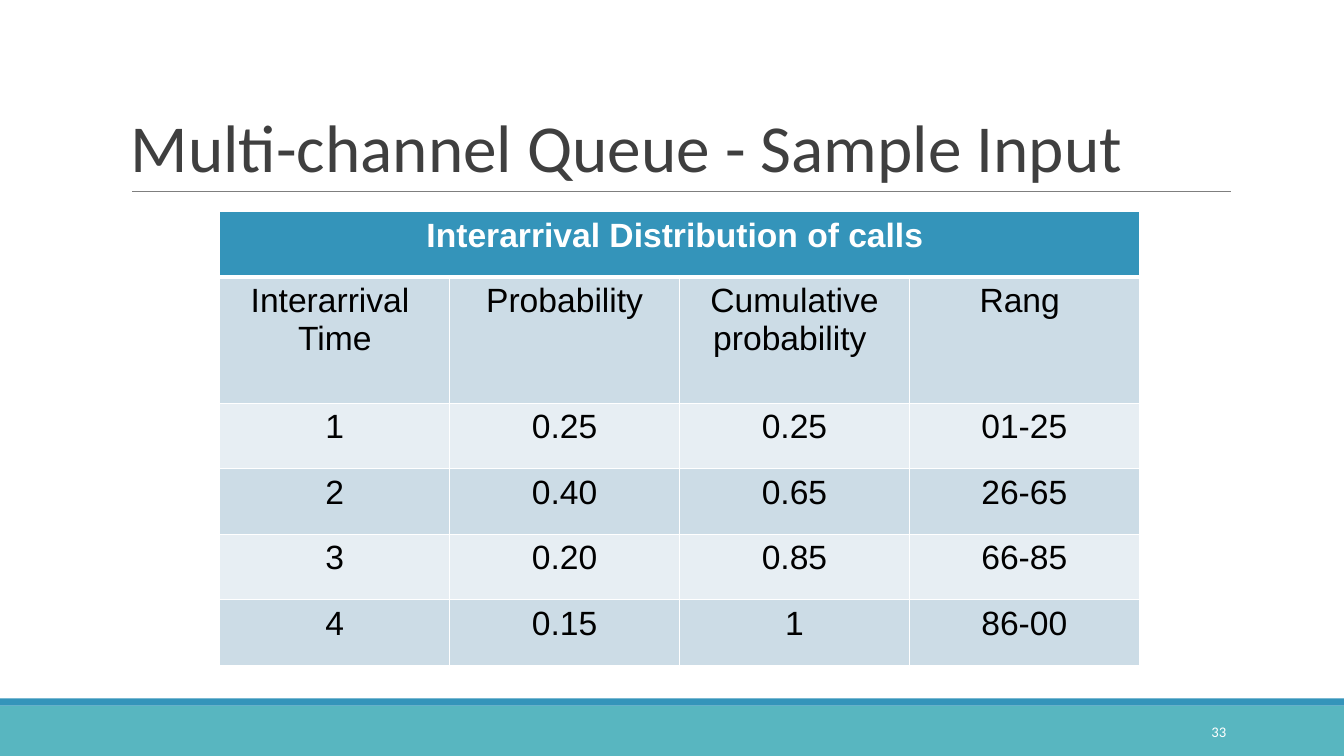
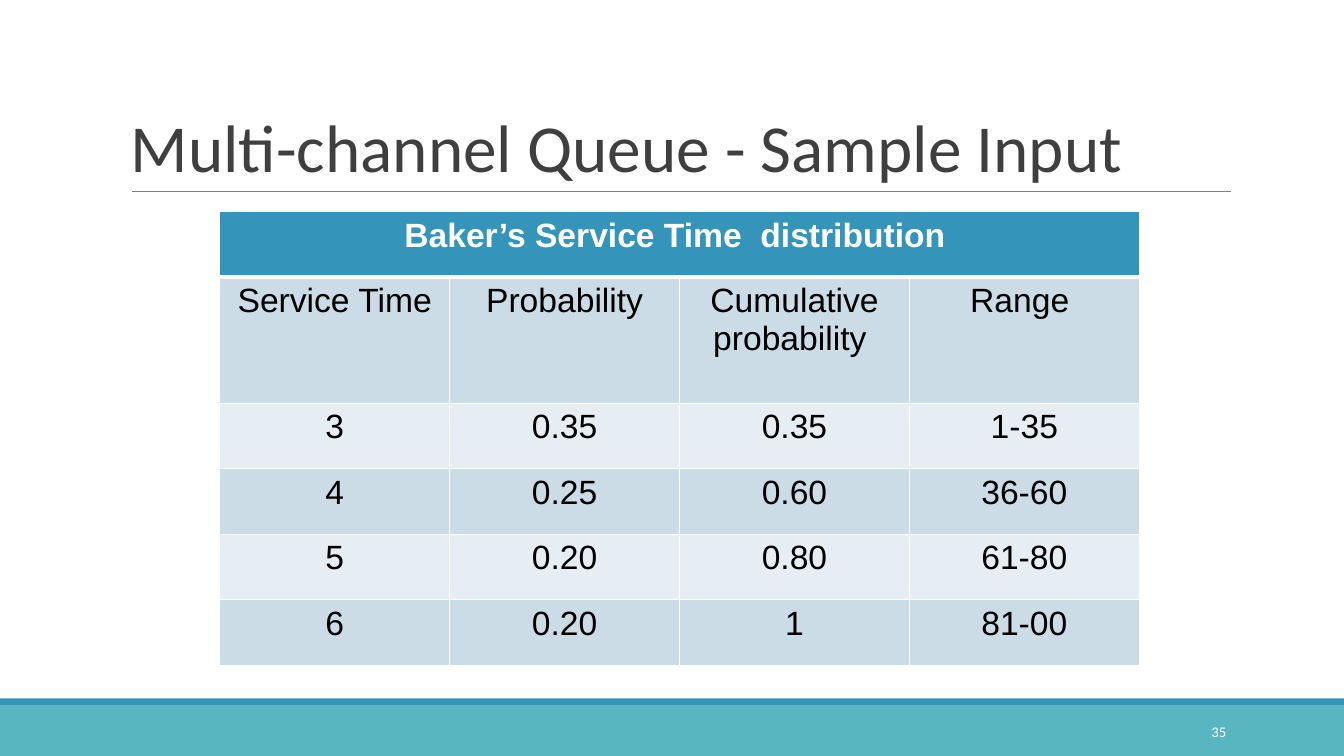
import pptx
import pptx.util
import pptx.dml.color
import pptx.enum.shapes
import pptx.enum.text
import pptx.oxml
import pptx.oxml.ns
from dataclasses import dataclass

TITLE = "Multi-channel Queue - Sample Input"
SLIDES = [
    {
        "number": "33",
        "heading": "Interarrival Distribution of calls ",
        "rows": [
            ("Interarrival  Time", "Probability", "Cumulative probability ", "Rang "),
            ("1", "0.25", "0.25", "01-25"),
            ("2", "0.40", "0.65", "26-65"),
            ("3", "0.20", "0.85", "66-85"),
            ("4", "0.15", "1", "86-00"),
        ],
    },
    {
        "number": "35",
        "heading": "Baker’s Service Time  distribution ",
        "rows": [
            ("Service Time", "Probability", "Cumulative probability ", "Range "),
            ("3", "0.35", "0.35", "1-35"),
            ("4", "0.25", "0.60", "36-60"),
            ("5", "0.20", "0.80", "61-80"),
            ("6", "0.20", "1", "81-00"),
        ],
    },
]


@dataclass(frozen=True)
class Theme:
    accent: str = "3494BA"
    footer: str = "58B6C0"
    rule: str = "7F7F7F"
    title: str = "3F3F3F"
    light: str = "FFFFFF"
    dark: str = "000000"
    stripes: tuple = ("CCDCE6", "E7EEF3")
    title_font: str = "Calibri"
    table_font: str = "Arial"
    title_size: float = 48
    table_size: float = 24
    number_size: float = 10.5
    rule_width: float = 0.75
    grid_width: float = 1
    heading_width: float = 3


THEME = Theme()
WIDTH, HEIGHT = 13.33, 7.5
FOOTER_TOP, STRIP_HEIGHT = 7, 0.07
RULE_LEFT, RULE_RIGHT, RULE_TOP = 1.31, 12.21, 1.9
TITLE_BOX = (1.2, 0.31, 11, 1.59)
NUMBER_BOX = (10.83, 7.06, 1.43, 0.4)
TABLE_LEFT, TABLE_TOP = 2.18, 2.1
COLUMN_WIDTH, ROW_HEIGHT, LABEL_HEIGHT = 2.28, 0.65, 1.25

Inches = pptx.util.Inches
Align = pptx.enum.text.PP_ALIGN
Anchor = pptx.enum.text.MSO_ANCHOR


def rgb(colour):
    return pptx.dml.color.RGBColor.from_string(colour)


def place(*lengths):
    return [Inches(length) for length in lengths]


def write(frame, text, font, size, colour, align, bold=False):
    frame.text = text
    frame.word_wrap = True
    para = frame.paragraphs[0]
    para.alignment = align
    for span in para.runs:
        span.font.name = font
        span.font.size = pptx.util.Pt(size)
        span.font.bold = bold
        span.font.color.rgb = rgb(colour)
    return para


def add_text(page, bounds, anchor, *style):
    frame = page.shapes.add_textbox(*place(*bounds)).text_frame
    frame.vertical_anchor = anchor
    return write(frame, *style)


def add_band(page, top, height, colour):
    band = page.shapes.add_shape(
        pptx.enum.shapes.MSO_SHAPE.RECTANGLE, *place(0, top, WIDTH, height))
    band.shadow.inherit = False
    band.fill.solid()
    band.fill.fore_color.rgb = rgb(colour)
    band.line.fill.background()


def add_rule(page):
    rule = page.shapes.add_connector(
        pptx.enum.shapes.MSO_CONNECTOR.STRAIGHT,
        *place(RULE_LEFT, RULE_TOP, RULE_RIGHT, RULE_TOP))
    rule.line.color.rgb = rgb(THEME.rule)
    rule.line.width = pptx.util.Pt(THEME.rule_width)
    properties = rule._element.spPr
    properties.append(properties.makeelement(pptx.oxml.ns.qn("a:effectLst"), {}))


def add_frame(page, number):
    add_band(page, FOOTER_TOP, HEIGHT - FOOTER_TOP, THEME.footer)
    add_band(page, FOOTER_TOP - STRIP_HEIGHT, STRIP_HEIGHT, THEME.accent)
    add_rule(page)
    title = add_text(page, TITLE_BOX, Anchor.BOTTOM, TITLE, THEME.title_font,
                     THEME.title_size, THEME.title, Align.LEFT)
    title.line_spacing = 0.85
    add_text(page, NUMBER_BOX, Anchor.MIDDLE, number, THEME.title_font,
             THEME.number_size, THEME.light, Align.RIGHT)


def set_borders(cell, top, bottom):
    widths = {"L": THEME.grid_width, "R": THEME.grid_width, "T": top, "B": bottom}
    properties = cell._tc.get_or_add_tcPr()
    for index, (side, width) in enumerate(widths.items()):
        border = pptx.oxml.parse_xml(
            f'<a:ln{side} {pptx.oxml.ns.nsdecls("a")} w="{pptx.util.Pt(width)}">'
            f'<a:solidFill><a:srgbClr val="{THEME.light}"/></a:solidFill></a:ln{side}>')
        properties.insert(index, border)


def add_distribution(page, heading, rows):
    columns = len(rows[0])
    heights = [ROW_HEIGHT, LABEL_HEIGHT] + [ROW_HEIGHT] * (len(rows) - 1)
    table = page.shapes.add_table(
        len(heights), columns,
        *place(TABLE_LEFT, TABLE_TOP, columns * COLUMN_WIDTH, sum(heights))).table
    for column in table.columns:
        column.width = Inches(COLUMN_WIDTH)
    for row, height in zip(table.rows, heights):
        row.height = Inches(height)
    table.cell(0, 0).merge(table.cell(0, columns - 1))
    heading_row = (heading,) + ("",) * (columns - 1)
    for r, texts in enumerate([heading_row, *rows]):
        is_heading = r == 0
        fill = THEME.accent if is_heading else THEME.stripes[(r - 1) % 2]
        colour = THEME.light if is_heading else THEME.dark
        top = THEME.heading_width if r == 1 else THEME.grid_width
        bottom = THEME.heading_width if is_heading else THEME.grid_width
        for c, text in enumerate(texts):
            cell = table.cell(r, c)
            cell.fill.solid()
            cell.fill.fore_color.rgb = rgb(fill)
            set_borders(cell, top, bottom)
            write(cell.text_frame, text, THEME.table_font, THEME.table_size,
                  colour, Align.CENTER, is_heading)


def main():
    deck = pptx.Presentation()
    deck.slide_width, deck.slide_height = place(WIDTH, HEIGHT)
    for content in SLIDES:
        page = deck.slides.add_slide(deck.slide_layouts[6])
        add_frame(page, content["number"])
        add_distribution(page, content["heading"], content["rows"])
    deck.save("out.pptx")


if __name__ == "__main__":
    main()
